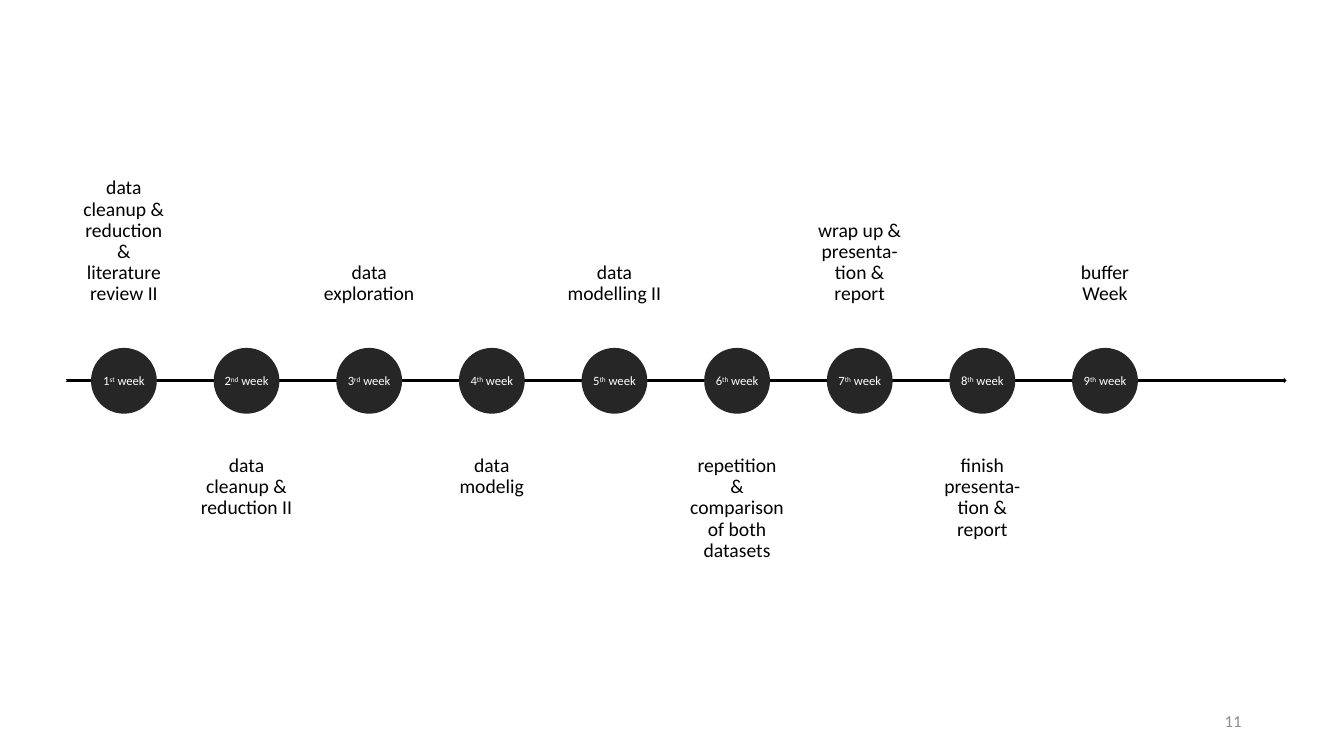
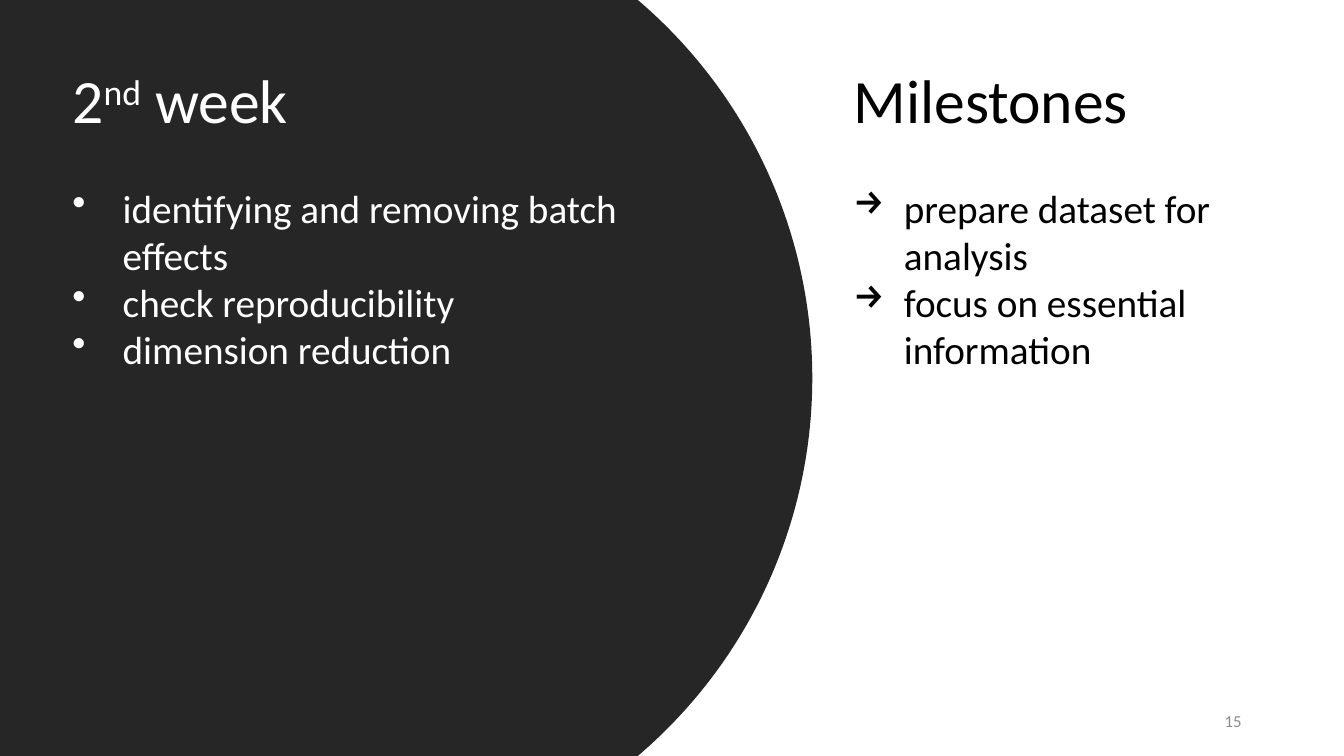
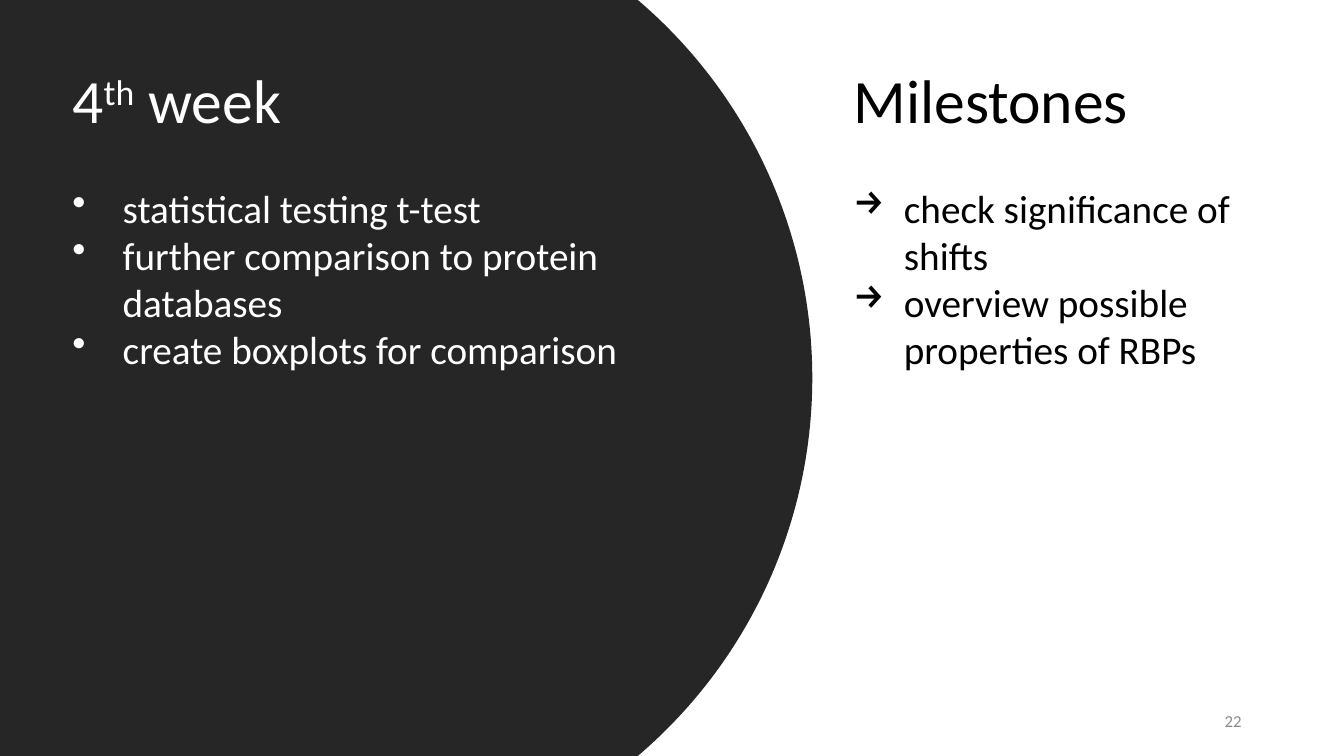
from lxml import etree
from pptx import Presentation
from pptx.dml.color import RGBColor
from pptx.enum.shapes import MSO_SHAPE as SHAPE
from pptx.enum.text import MSO_ANCHOR as ANCHOR, PP_ALIGN as ALIGN
from pptx.oxml.ns import qn
from pptx.util import Pt

FONT = "Calibri"
DARK, BLACK, WHITE, GREY = "262626", "000000", "FFFFFF", "8C8C8C"
SLIDE_W, SLIDE_H = 960, 540

# Week suffix, task, width of the task label
WIDE, NARROW = 83.5, 80
TIMELINE = [
    ("st", "data cleanup & reduction & literature review II", NARROW),
    ("nd", "data cleanup & reduction II", WIDE),
    ("rd", "data exploration", WIDE),
    ("th", "data modelig", WIDE),
    ("th", "data modelling II", WIDE),
    ("th", "repetition & comparison of both datasets", WIDE),
    ("th", "wrap up & presenta-tion & report", NARROW),
    ("th", "finish presenta-tion & report", NARROW),
    ("th", "buffer Week", WIDE),
]
TIMELINE_PAGE = 11

WEEKS = [
    dict(page=15, week=(2, "nd"),
         tasks=["identifying and removing batch effects",
                "check reproducibility",
                "dimension reduction"],
         milestones=["prepare dataset for analysis",
                     "focus on essential information"]),
    dict(page=22, week=(4, "th"),
         tasks=["statistical testing t-test",
                "further comparison to protein databases",
                "create boxplots for comparison"],
         milestones=["check significance of shifts",
                     "overview possible properties of RBPs"]),
]

AXIS_Y = 272
FIRST_X, WEEK_STEP = 88.5, 87.6
DOT = 46
LABEL_H, LABEL_INSET = 183, 8
LABEL_TOP_ABOVE, LABEL_TOP_BELOW = 43, 317.5
DISC = 708.5
DISC_X = 225.5
PANEL_TOP, PANEL_H = 41, 298
BULLET_INDENT = 36


def rgb(color):
    return RGBColor.from_string(color)


def set_insets(tf, inset):
    for side in ("left", "top", "right", "bottom"):
        setattr(tf, f"margin_{side}", Pt(inset))


def add_run(p, text, size, color, raised=False):
    r = p.add_run()
    r.text = text
    for name, value in dict(name=FONT, size=Pt(size)).items():
        setattr(r.font, name, value)
    r.font.color.rgb = rgb(color)
    if raised:
        r.font._element.set("baseline", "30000")


def add_week(p, number, suffix, size):
    add_run(p, str(number), size, WHITE)
    add_run(p, suffix, size, WHITE, raised=True)
    add_run(p, " week", size, WHITE)


def add_text_box(s, x, y, w, h, anchor=ANCHOR.TOP):
    tf = s.shapes.add_textbox(Pt(x), Pt(y), Pt(w), Pt(h)).text_frame
    tf.word_wrap = True
    tf.vertical_anchor = anchor
    return tf


def add_solid(s, kind, x, y, w, h, color, outlined=True):
    sp = s.shapes.add_shape(kind, Pt(x), Pt(y), Pt(w), Pt(h))
    sp.shadow.inherit = False
    sp.fill.solid()
    sp.fill.fore_color.rgb = rgb(color)
    if outlined:
        sp.line.color.rgb = rgb(color)
        sp.line.width = Pt(1)
    else:
        sp.line.fill.background()
    return sp


def add_circle(s, cx, cy, d):
    return add_solid(s, SHAPE.OVAL, cx - d / 2, cy - d / 2, d, d, DARK)


def add_page(prs, number):
    """Add a blank slide with its page number."""
    s = prs.slides.add_slide(prs.slide_layouts[6])
    p = add_text_box(s, 678, 500.5, 216, 28.8, ANCHOR.MIDDLE).paragraphs[0]
    p.alignment = ALIGN.RIGHT
    add_run(p, str(number), 12, GREY)
    return s


def add_bullets(tf, items, mark, color):
    for i, item in enumerate(items):
        p = tf.add_paragraph()
        if i == 0:
            p.space_before = Pt(34)
        pPr = p._p.get_or_add_pPr()
        pPr.set("marL", str(Pt(BULLET_INDENT)))
        pPr.set("indent", str(-Pt(BULLET_INDENT)))
        etree.SubElement(pPr, qn("a:buChar")).set("char", mark)
        add_run(p, item, 28, color)


def add_timeline(prs):
    s = add_page(prs, TIMELINE_PAGE)
    add_solid(s, SHAPE.NOTCHED_RIGHT_ARROW, 47, AXIS_Y - 2, 872, 3.6,
              BLACK, outlined=False)
    for i, (suffix, task, width) in enumerate(TIMELINE):
        cx = FIRST_X + i * WEEK_STEP
        above = i % 2 == 0
        tf = add_text_box(s, cx - width / 2,
                          LABEL_TOP_ABOVE if above else LABEL_TOP_BELOW,
                          width, LABEL_H,
                          ANCHOR.BOTTOM if above else ANCHOR.TOP)
        set_insets(tf, LABEL_INSET)
        p = tf.paragraphs[0]
        p.alignment, p.line_spacing = ALIGN.CENTER, 0.9
        add_run(p, task, 14, BLACK)

        tf = add_circle(s, cx, AXIS_Y, DOT).text_frame
        tf.word_wrap = False
        tf.vertical_anchor = ANCHOR.MIDDLE
        set_insets(tf, 0)
        p = tf.paragraphs[0]
        p.alignment = ALIGN.CENTER
        add_week(p, i + 1, suffix, 9)


def add_week_slide(prs, page, week, tasks, milestones):
    s = add_page(prs, page)
    add_circle(s, DISC_X, SLIDE_H / 2, DISC)

    tf = add_text_box(s, 44.6, PANEL_TOP, 448, PANEL_H)
    add_week(tf.paragraphs[0], *week, 44)
    add_bullets(tf, tasks, "•", WHITE)

    tf = add_text_box(s, 602.6, PANEL_TOP, 314, PANEL_H)
    add_run(tf.paragraphs[0], "Milestones", 44, BLACK)
    add_bullets(tf, milestones, "→", BLACK)


def main():
    prs = Presentation()
    prs.slide_width, prs.slide_height = Pt(SLIDE_W), Pt(SLIDE_H)
    add_timeline(prs)
    for week in WEEKS:
        add_week_slide(prs, **week)
    prs.save("out.pptx")


if __name__ == "__main__":
    main()
